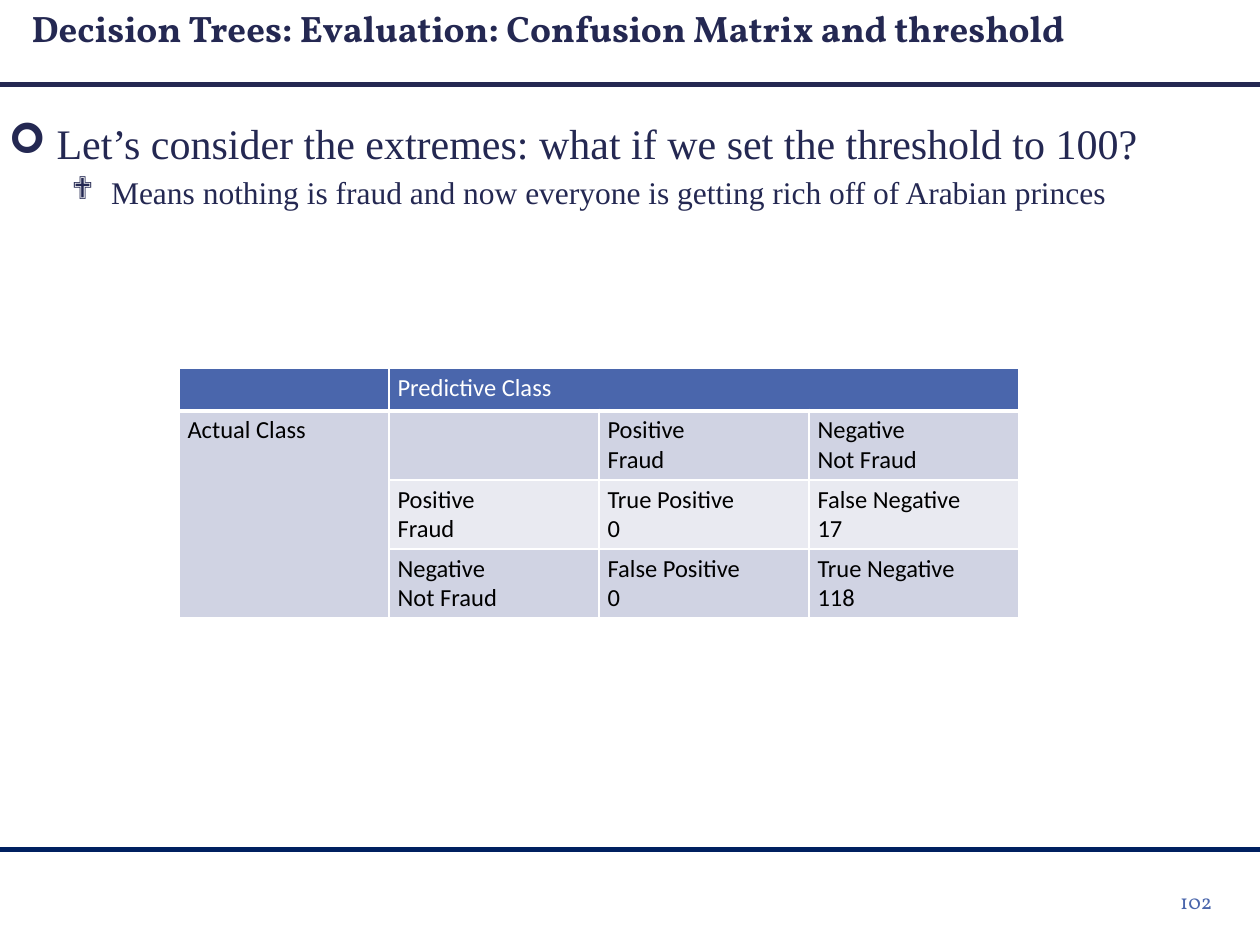
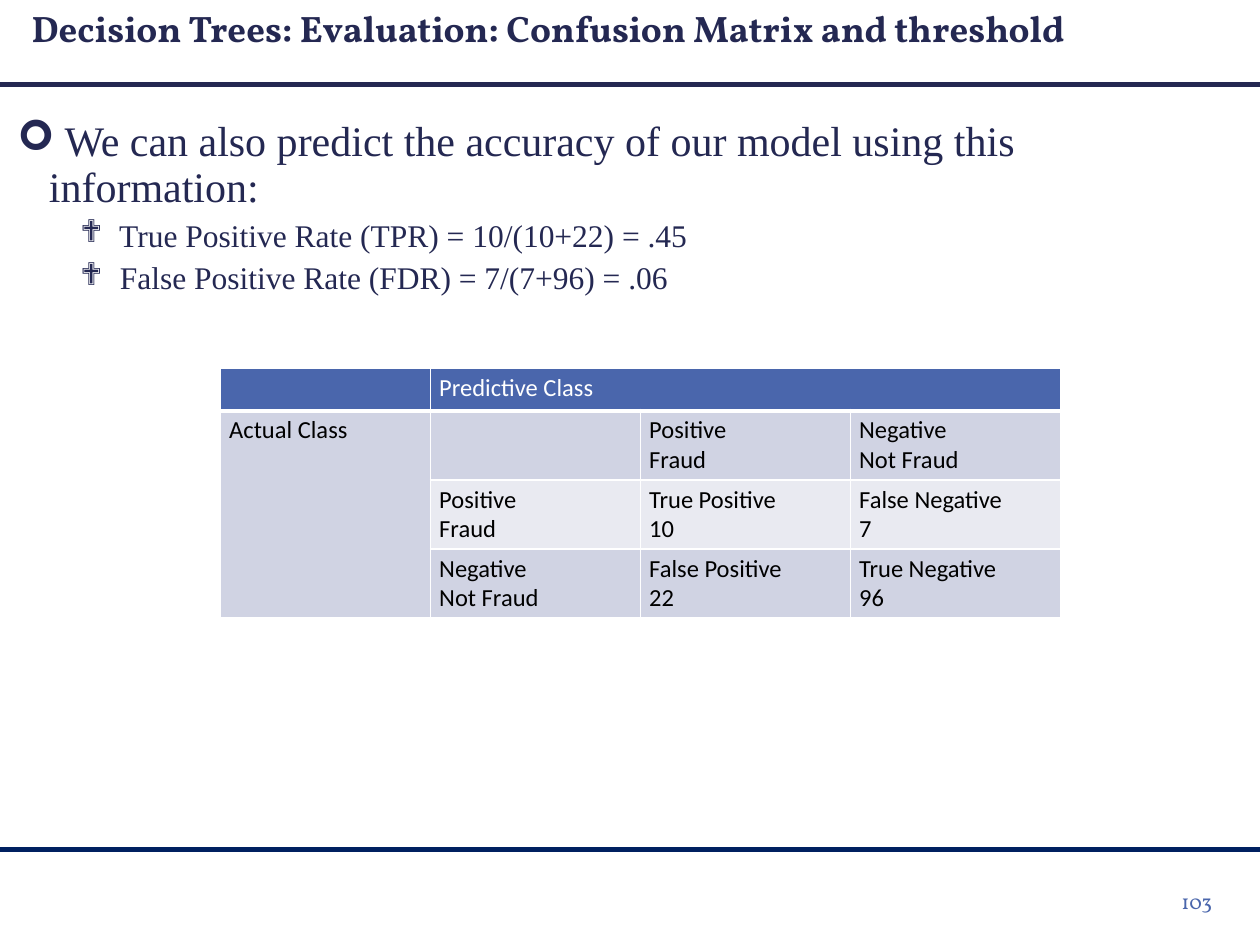
from lxml.etree import SubElement
from pptx import Presentation
from pptx.dml.color import RGBColor
from pptx.enum.shapes import MSO_CONNECTOR
from pptx.enum.text import MSO_ANCHOR, PP_ALIGN
from pptx.oxml.ns import qn
from pptx.util import Pt

COLORS = {
    "navy": "242852",
    "footer_line": "002060",
    "blue": "4A66AC",
    "band_dark": "D0D3E3",
    "band_light": "E9EAF1",
    "white": "FFFFFF",
    "black": "000000",
}
TITLE_FONT, BODY_FONT, TABLE_FONT = "Vollkorn", "Times New Roman", "Calibri"
TITLE = "Decision Trees: Evaluation: Confusion Matrix and threshold "
SLIDE_WIDTH, SLIDE_HEIGHT = 720, 540
COLUMN_WIDTH = 120
ROW_HEIGHTS = [24.5, 39.5, 39.5, 39.5]
TABLE_TOP = 210.3
TABLE_TEXT_SIZE = 14
ROW_FILLS = ["blue", "band_dark", "band_light", "band_dark"]
BULLET_LEVELS = [
    {"mark": "➢", "margin": 18, "size": 24, "before": 10},
    {"mark": "❖", "margin": 54, "size": 18, "before": 5},
]
HANGING = 18


def rgb(color):
    return RGBColor.from_string(COLORS[color])


def style_font(font, name, size, color, bold=False):
    font.name = name
    font.size = Pt(size)
    font.bold = bold
    font.color.rgb = rgb(color)


def set_insets(holder, side, end):
    holder.margin_left = holder.margin_right = Pt(side)
    holder.margin_top = holder.margin_bottom = Pt(end)


def add_rule(slide, top, color):
    rule = slide.shapes.add_connector(
        MSO_CONNECTOR.STRAIGHT, Pt(0), Pt(top), Pt(SLIDE_WIDTH), Pt(top))
    rule.line.color.rgb = rgb(color)
    rule.line.width = Pt(3)
    SubElement(rule._element.spPr, qn("a:effectLst"))


def add_text_box(slide, left, top, width, height):
    box = slide.shapes.add_textbox(Pt(left), Pt(top), Pt(width), Pt(height))
    box.text_frame.word_wrap = True
    return box.text_frame


def add_label(slide, text, place, align, anchor, size, color, bold=False):
    frame = add_text_box(slide, *place)
    frame.vertical_anchor = anchor
    frame.text = text
    para = frame.paragraphs[0]
    para.alignment = align
    style_font(para.runs[0].font, TITLE_FONT, size, color, bold)


def add_frame(slide, number):
    add_rule(slide, 485.3, "footer_line")
    add_rule(slide, 48.2, "navy")
    add_label(slide, TITLE, (5, 0, 620.6, 57.6), PP_ALIGN.CENTER,
              MSO_ANCHOR.TOP, 21, "navy", bold=True)
    add_label(slide, str(number), (537.8, 500.4, 162, 28.8), PP_ALIGN.RIGHT,
              MSO_ANCHOR.MIDDLE, 12, "blue")


def add_bullets(slide, place, bullets):
    frame = add_text_box(slide, *place)
    set_insets(frame, 5, 2.7)
    for index, (depth, text) in enumerate(bullets):
        level = BULLET_LEVELS[depth]
        para = frame.add_paragraph() if index else frame.paragraphs[0]
        para.text = text
        para.level = depth
        para.line_spacing = 0.9
        if index:
            para.space_before = Pt(level["before"])
        props = para._p.get_or_add_pPr()
        props.set("marL", str(Pt(level["margin"])))
        props.set("indent", str(-Pt(HANGING)))
        SubElement(props, qn("a:buFont"), typeface="Wingdings")
        SubElement(props, qn("a:buChar"), char=level["mark"])
        style_font(para.runs[0].font, BODY_FONT, level["size"], "navy")


def set_borders(cell, bottom_width):
    props = cell._tc.get_or_add_tcPr()
    for side, width in (("L", 1), ("R", 1), ("T", 1), ("B", bottom_width)):
        line = SubElement(props, qn(f"a:ln{side}"), w=str(Pt(width)))
        fill = SubElement(line, qn("a:solidFill"))
        SubElement(fill, qn("a:srgbClr"), val=COLORS["white"])


def fill_cell(cell, text, row):
    set_borders(cell, 1 if row else 3)
    cell.fill.solid()
    cell.fill.fore_color.rgb = rgb(ROW_FILLS[row])
    set_insets(cell, 5, 2.7)
    cell.text_frame.text = text
    for para in cell.text_frame.paragraphs:
        end = para._p.get_or_add_endParaRPr()
        end.set("sz", str(TABLE_TEXT_SIZE * 100))
        for span in para.runs:
            style_font(span.font, TABLE_FONT, TABLE_TEXT_SIZE,
                       "black" if row else "white")


def add_confusion_matrix(slide, left, hits, misses, false_alarms, rejections):
    positive, negative = "Positive\nFraud", "Negative\nNot Fraud"
    rows = [
        ["", "Predictive Class", "", ""],
        ["Actual Class", "", positive, negative],
        ["", positive, f"True Positive\n{hits}", f"False Negative\n{misses}"],
        ["", negative, f"False Positive\n{false_alarms}",
         f"True Negative\n{rejections}"],
    ]
    columns = len(rows[0])
    table = slide.shapes.add_table(
        len(rows), columns, Pt(left), Pt(TABLE_TOP),
        Pt(COLUMN_WIDTH * columns), Pt(sum(ROW_HEIGHTS))).table
    table.first_row = table.horz_banding = False
    for column in table.columns:
        column.width = Pt(COLUMN_WIDTH)
    for row, texts in enumerate(rows):
        table.rows[row].height = Pt(ROW_HEIGHTS[row])
        for column, text in enumerate(texts):
            fill_cell(table.cell(row, column), text, row)
    table.cell(0, 1).merge(table.cell(0, 3))
    table.cell(1, 0).merge(table.cell(3, 0))


def add_matrix_slide(deck, number, table_left, counts, bullet_place, bullets):
    slide = deck.slides.add_slide(deck.slide_layouts[6])
    add_frame(slide, number)
    add_confusion_matrix(slide, table_left, *counts)
    add_bullets(slide, bullet_place, bullets)


def main():
    deck = Presentation()
    deck.slide_width, deck.slide_height = Pt(SLIDE_WIDTH), Pt(SLIDE_HEIGHT)
    add_matrix_slide(deck, 102, 102.2, (0, 17, 0, 118), (0, 67.7, 684, 43.2), [
        (0, " Let’s consider the extremes: what if we set the threshold to 100?"),
        (1, " Means nothing is fraud and now everyone is getting rich off of "
            "Arabian princes"),
    ])
    add_matrix_slide(deck, 103, 126, (10, 7, 22, 96), (5, 66.2, 694.8, 108), [
        (0, " We can also predict the accuracy of our model using this "
            "information:"),
        (1, " True Positive Rate (TPR) = 10/(10+22) = .45"),
        (1, " False Positive Rate (FDR) = 7/(7+96) = .06"),
    ])
    deck.save("out.pptx")


if __name__ == "__main__":
    main()
